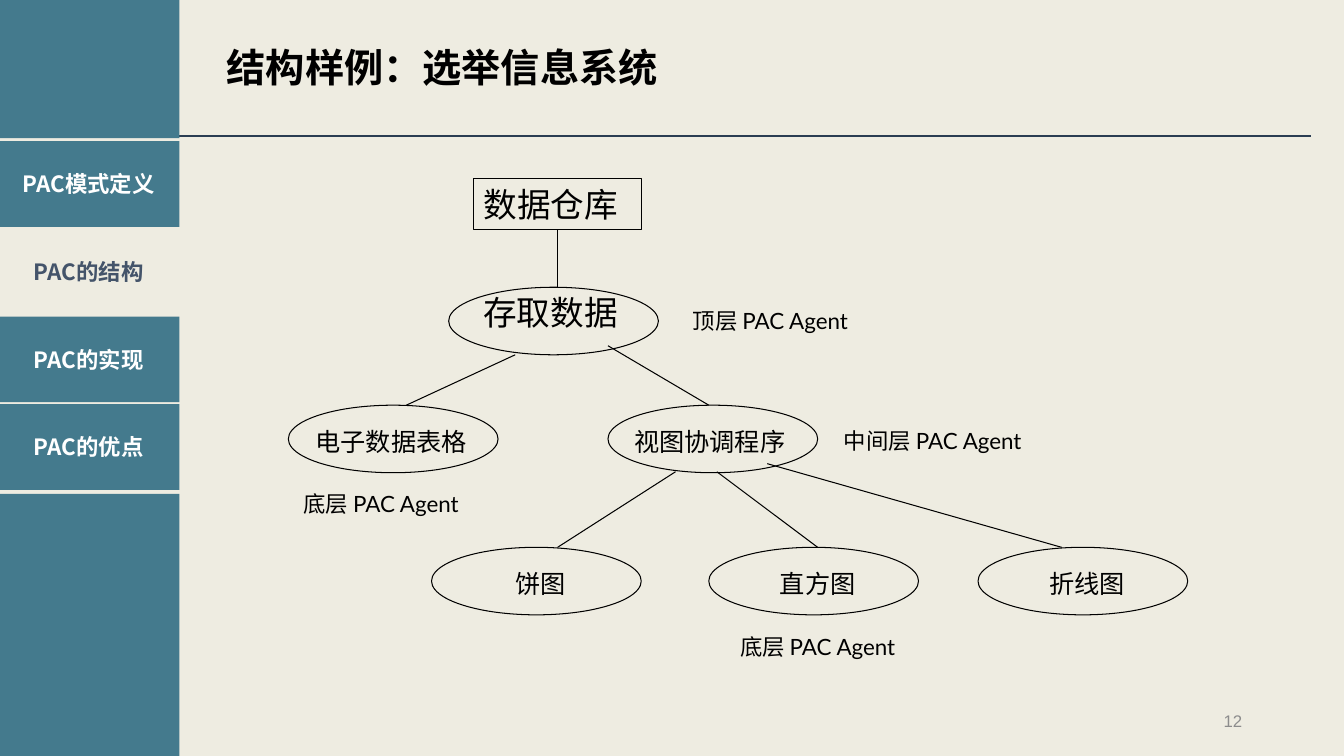
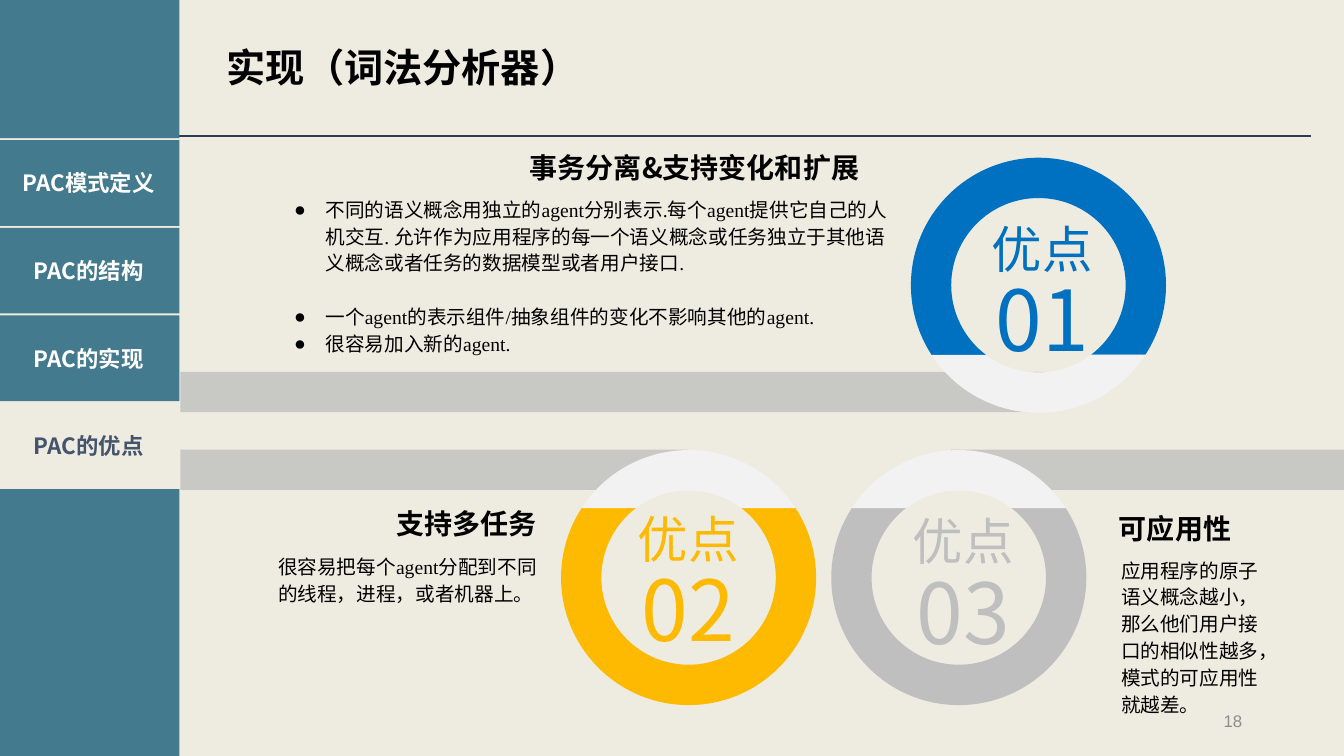
from dataclasses import dataclass
from math import asin, cos, pi, sin, tan
from typing import Any, NamedTuple

from lxml.etree import SubElement
from pptx import Presentation
from pptx.dml.color import RGBColor
from pptx.enum.shapes import MSO_CONNECTOR, MSO_SHAPE
from pptx.enum.text import MSO_ANCHOR, MSO_AUTO_SIZE, PP_ALIGN
from pptx.oxml.ns import qn
from pptx.util import Inches, Pt


# Theme
@dataclass(frozen=True)
class Theme:
    paper: str = "EEECE1"
    teal: str = "447A8D"
    navy: str = "2A3D52"
    slate: str = "44546A"
    white: str = "FFFFFF"
    black: str = "000000"
    number_grey: str = "8C8C8C"
    band_grey: str = "BFBFBF"
    cap_grey: str = "F2F2F2"
    blue: str = "0070C0"
    amber: str = "FEBA01"
    sans: str = "Noto Sans CJK SC"
    serif: str = "Times New Roman"
    label: str = "Lato"
    footer: str = "Arial"
    title_size: int = 28
    heading_size: int = 20
    body_size: int = 14
    tab_size: int = 16
    label_size: int = 16
    node_size: int = 18
    top_node_size: int = 24
    ring_word_size: int = 36
    ring_number_size: int = 60
    number_size: int = 12


THEME = Theme()


class TextStyle(NamedTuple):
    size: int
    font: str
    colour: str = THEME.black
    bold: bool = False


class Box(NamedTuple):
    left: float
    top: float
    width: float
    height: float


class Page(NamedTuple):
    title: str
    title_width: float
    number: str
    active_tab: int
    tab_top: float
    foot: Box


class Node(NamedTuple):
    text: str
    left: float
    top: float
    shift_x: float
    shift_y: float = 0.02
    size: int = THEME.node_size


class Label(NamedTuple):
    text: str
    left: float
    top: float
    width: float


class Ring(NamedTuple):
    number: str
    colour: str
    centre_x: float
    centre_y: float
    cap_side: int  # 1: light cap below, -1: above
    text_left: float
    text_top: float


class Advantage(NamedTuple):
    heading: str
    heading_box: Box
    align: PP_ALIGN
    body: str
    body_box: Box


TITLE = TextStyle(THEME.title_size, THEME.sans, bold=True)
HEADING = TextStyle(THEME.heading_size, THEME.sans, bold=True)
BODY = TextStyle(THEME.body_size, THEME.serif)
LABEL = TextStyle(THEME.label_size, THEME.label)
NUMBER = TextStyle(THEME.number_size, THEME.footer, THEME.number_grey)

TABS = ["PAC模式定义", "PAC的结构", "PAC的实现", "PAC的优点"]
SIDEBAR_LEFT, SIDEBAR_WIDTH, TAB_HEIGHT, TAB_PITCH = -0.02, 1.8, 0.85, 0.87
SIDEBAR_HEAD = Box(SIDEBAR_LEFT, -0.03, SIDEBAR_WIDTH, 1.4)

NODE_WIDTH, NODE_HEIGHT = 2.08, 0.67
WAREHOUSE = Box(4.7, 1.77, 1.66, 0.51)
NODES = [
    Node("存取数据", 4.45, 2.85, -0.03, -0.09, THEME.top_node_size),
    Node("电子数据表格", 2.86, 4.02, -0.02),
    Node("视图协调程序", 6.03, 4.02, -0.03),
    Node("饼图", 4.28, 5.43, 0.04),
    Node("直方图", 7.03, 5.43, 0.04),
    Node("折线图", 9.7, 5.43, 0.04),
]
LINKS = [
    (5.11, 3.52, 4.03, 4.02),
    (6.03, 3.43, 7.03, 4.02),
    (6.7, 4.68, 5.53, 5.43),
    (7.11, 4.68, 8.11, 5.43),
    (7.61, 4.6, 10.53, 5.43),
]
LABELS = [
    Label("底层 PAC Agent", 3.01, 4.86, 1.57),
    Label("中间层 PAC Agent", 8.37, 4.24, 1.89),
    Label("顶层 PAC Agent", 6.87, 3.05, 1.89),
    Label("底层 PAC Agent", 7.34, 6.28, 1.57),
]

OUTER_RADIUS, INNER_RADIUS, CAP_OFFSET = 1.265, 0.865, 0.69
BANDS = [Box(1.79, 3.69, 8.6, 0.4), Box(1.79, 4.46, 5.03, 0.4), Box(9.43, 4.46, 5.69, 0.4)]
RINGS = [
    Ring("01", THEME.blue, 10.3, 2.83, 1, 9.73, 2.18),
    Ring("02", THEME.amber, 6.83, 5.73, -1, 6.22, 5.06),
    Ring("03", THEME.band_grey, 9.51, 5.73, -1, 8.95, 5.08),
]
SEPARATION_HEADING = "事务分离&支持变化和扩展"
SEPARATION_POINTS = [
    "不同的语义概念用独立的agent分别表示.每个agent提供它自己的人机交互. "
    "允许作为应用程序的每一个语义概念或任务独立于其他语义概念或者任务的数据模型或者用户接口.",
    "一个agent的表示组件/抽象组件的变化不影响其他的agent.",
    "很容易加入新的agent.",
]
ADVANTAGES = [
    Advantage("可应用性", Box(10.24, 5.03, 2.83, 0.44), PP_ALIGN.CENTER,
              "应用程序的原子语义概念越小，那么他们用户接口的相似性越多，模式的可应用性就越差。",
              Box(11.02, 5.46, 1.68, 1.7)),
    Advantage("支持多任务", Box(2.59, 4.98, 2.83, 0.44), PP_ALIGN.RIGHT,
              "很容易把每个agent分配到不同的线程，进程，或者机器上。",
              Box(2.66, 5.42, 2.84, 0.62)),
]


# Shared drawing functions
def rgb(colour: str) -> RGBColor:
    return RGBColor.from_string(colour)


def apply(target: Any, values: dict[str, Any]) -> None:
    for name, value in values.items():
        setattr(target, name, value)


def write(shape: Any, lines: list[tuple[str, TextStyle]], frame: dict[str, Any] | None = None,
          **paragraph_format: Any) -> None:
    text_frame = shape.text_frame
    apply(text_frame, {"word_wrap": True, "vertical_anchor": MSO_ANCHOR.TOP} | (frame or {}))
    for index, (text, style) in enumerate(lines):
        paragraph = text_frame.add_paragraph() if index else text_frame.paragraphs[0]
        apply(paragraph, {"alignment": PP_ALIGN.LEFT} | paragraph_format)
        run = paragraph.add_run()
        run.text = text
        run.font.color.rgb = rgb(style.colour)
        apply(run.font, {"size": Pt(style.size), "name": style.font, "bold": style.bold})
        SubElement(run.font._element, qn("a:ea"), typeface=THEME.sans)


def add_text(slide: Any, box: Box, lines: list[tuple[str, TextStyle]],
             frame: dict[str, Any] | None = None, **paragraph_format: Any) -> Any:
    text_box = slide.shapes.add_textbox(*map(Inches, box))
    write(text_box, lines, frame, **paragraph_format)
    return text_box


def paint(shape: Any, fill: str | None, line: str | None = None) -> None:
    shape.shadow.inherit = False
    if fill:
        shape.fill.solid()
        shape.fill.fore_color.rgb = rgb(fill)
    else:
        shape.fill.background()
    if line:
        shape.line.color.rgb = rgb(line)
        shape.line.width = Pt(0.75)
    else:
        shape.line.fill.background()


def add_block(slide: Any, kind: MSO_SHAPE, box: Box, fill: str | None, line: str | None = None) -> Any:
    block = slide.shapes.add_shape(kind, *map(Inches, box))
    paint(block, fill, line)
    return block


def add_line(slide: Any, ends: tuple[float, ...], colour: str, width: float) -> Any:
    line = slide.shapes.add_connector(MSO_CONNECTOR.STRAIGHT, *map(Inches, ends))
    line.line.color.rgb = rgb(colour)
    line.line.width = Pt(width)
    SubElement(line._element.spPr, qn("a:effectLst"))
    return line


def add_page(deck: Any, page: Page) -> Any:
    slide = deck.slides.add_slide(deck.slide_layouts[5])
    title = slide.shapes.title
    apply(title, dict(zip(Box._fields, map(Inches, (2.15, 0.38, page.title_width, 0.57)))))
    write(title, [(page.title, TITLE)], {"auto_size": MSO_AUTO_SIZE.SHAPE_TO_FIT_TEXT})
    add_line(slide, (1.35, 1.35, 13, 1.35), THEME.navy, 1)

    # Navigation sidebar
    for box in (SIDEBAR_HEAD, page.foot):
        add_block(slide, MSO_SHAPE.RECTANGLE, box, THEME.teal)
    for index, name in enumerate(TABS):
        active = index == page.active_tab
        box = Box(SIDEBAR_LEFT, page.tab_top + index * TAB_PITCH, SIDEBAR_WIDTH, TAB_HEIGHT)
        tab = add_block(slide, MSO_SHAPE.RECTANGLE, box, THEME.paper if active else THEME.teal)
        style = TextStyle(THEME.tab_size, THEME.sans, THEME.slate if active else THEME.white, True)
        write(tab, [(name, style)], {"vertical_anchor": MSO_ANCHOR.MIDDLE}, alignment=PP_ALIGN.CENTER)

    add_text(slide, Box(9.42, 6.95, 3, 0.4), [(page.number, NUMBER)],
             {"vertical_anchor": MSO_ANCHOR.MIDDLE}, alignment=PP_ALIGN.RIGHT)
    return slide


# Slide: agent hierarchy
def build_structure(deck: Any) -> None:
    foot = Box(SIDEBAR_LEFT, 4.9, SIDEBAR_WIDTH, 2.78)
    slide = add_page(deck, Page("结构样例：选举信息系统", 4.52, "12", 1, 1.4, foot))
    warehouse = add_block(slide, MSO_SHAPE.RECTANGLE, WAREHOUSE, None, THEME.black)
    write(warehouse, [("数据仓库", TextStyle(THEME.top_node_size, THEME.serif))],
          {"vertical_anchor": MSO_ANCHOR.MIDDLE})
    for node in NODES:
        ellipse = add_block(slide, MSO_SHAPE.OVAL, Box(node.left, node.top, NODE_WIDTH, NODE_HEIGHT),
                            None, THEME.black)
        shifts = {"left": node.shift_x, "right": -node.shift_x, "top": node.shift_y, "bottom": -node.shift_y}
        frame = {f"margin_{side}": Inches(max(0, 2 * shift)) for side, shift in shifts.items()}
        write(ellipse, [(node.text, TextStyle(node.size, THEME.serif))],
              frame | {"word_wrap": False, "vertical_anchor": MSO_ANCHOR.MIDDLE}, alignment=PP_ALIGN.CENTER)

    access_link = add_line(slide, (5.53, 2.28, 5.53, 2.85), THEME.black, 0.75)
    access_link.begin_connect(warehouse, 2)
    for ends in LINKS:
        add_line(slide, ends, THEME.black, 0.75)
    no_margins = dict.fromkeys(("margin_left", "margin_right", "margin_top", "margin_bottom"), 0)
    for label in LABELS:
        add_text(slide, Box(label.left, label.top, label.width, 0.27), [(label.text, LABEL)], no_margins)


# Slide: advantages
def arc(ring: Ring, radius: float, angles: list[float]) -> list[tuple[int, int]]:
    """Start point, then two control points and an end point for each curve."""
    def place(x: float, y: float) -> tuple[int, int]:
        return Inches(ring.centre_x + radius * x), Inches(ring.centre_y + ring.cap_side * radius * y)

    points = [place(cos(angles[0]), sin(angles[0]))]
    for start, end in zip(angles, angles[1:]):
        pull = 4 / 3 * tan((end - start) / 4)
        points += [place(cos(start) - pull * sin(start), sin(start) + pull * cos(start)),
                   place(cos(end) + pull * sin(end), sin(end) - pull * cos(end)),
                   place(cos(end), sin(end))]
    return points


def curve_segments(shape: Any, first: int, count: int) -> None:
    segments = list(shape._element.iter(qn("a:lnTo")))[first:first + count]
    for start, middle, end in zip(*[iter(segments)] * 3):
        start.tag = qn("a:cubicBezTo")
        for segment in (middle, end):
            start.append(segment[0])
            segment.getparent().remove(segment)


def add_ring(slide: Any, ring: Ring) -> None:
    group = slide.shapes.add_group_shape()
    outer, inner = (asin(CAP_OFFSET / radius) for radius in (OUTER_RADIUS, INNER_RADIUS))
    quarters = [pi, 1.5 * pi, 2 * pi]
    parts = [
        (ring.colour, [pi - outer, *quarters, 2 * pi + outer], [2 * pi + inner, *quarters[::-1], pi - inner]),
        (THEME.cap_grey, [outer, pi / 2, pi - outer], [pi - inner, pi / 2, inner]),
    ]
    for colour, outer_angles, inner_angles in parts:
        outside, inside = arc(ring, OUTER_RADIUS, outer_angles), arc(ring, INNER_RADIUS, inner_angles)
        builder = group.shapes.build_freeform(*outside[0])
        builder.add_line_segments(outside[1:] + inside, close=True)
        part = builder.convert_to_shape()
        curve_segments(part, len(outside), len(inside) - 1)
        curve_segments(part, 0, len(outside) - 1)
        paint(part, colour)
    lines = [("优点", TextStyle(THEME.ring_word_size, THEME.sans, ring.colour)),
             (ring.number, TextStyle(THEME.ring_number_size, THEME.sans, ring.colour))]
    add_text(slide, Box(ring.text_left, ring.text_top, 1.21, 1.56), lines, {"word_wrap": False},
             alignment=PP_ALIGN.CENTER, line_spacing=0.9)


def build_advantages(deck: Any) -> None:
    foot = Box(SIDEBAR_LEFT, 4.85, SIDEBAR_WIDTH, 2.8)
    slide = add_page(deck, Page("实现（词法分析器）", 3.97, "18", 3, 1.39, foot))
    for box in BANDS:
        band = add_block(slide, MSO_SHAPE.RECTANGLE, box, THEME.band_grey)
        SubElement(band._element.spPr.find(".//" + qn("a:srgbClr")), qn("a:alpha"), val="80000")
    for ring in RINGS:
        add_ring(slide, ring)

    add_text(slide, Box(4.37, 1.44, 4.25, 0.44), [(SEPARATION_HEADING, HEADING)], alignment=PP_ALIGN.RIGHT)
    points = add_text(slide, Box(2.82, 1.88, 6.14, 2), [(point, BODY) for point in SEPARATION_POINTS],
                      line_spacing=1.14)
    paragraphs = points.text_frame.paragraphs
    paragraphs[1].space_before = Pt(19)
    for paragraph in paragraphs:
        properties = paragraph._p.get_or_add_pPr()
        for name, inches in {"marL": 0.31, "indent": -0.31}.items():
            properties.set(name, str(Inches(inches)))
        SubElement(properties, qn("a:buFont"), typeface=THEME.footer)
        SubElement(properties, qn("a:buChar"), char="●")

    for item in ADVANTAGES:
        add_text(slide, item.heading_box, [(item.heading, HEADING)], alignment=item.align)
        add_text(slide, item.body_box, [(item.body, BODY)], line_spacing=1.14)


def main() -> None:
    deck = Presentation()
    deck.slide_width, deck.slide_height = Inches(13.33), Inches(7.5)
    background = deck.slide_master.background.fill
    background.solid()
    background.fore_color.rgb = rgb(THEME.paper)
    build_structure(deck)
    build_advantages(deck)
    deck.save("out.pptx")


if __name__ == "__main__":
    main()
